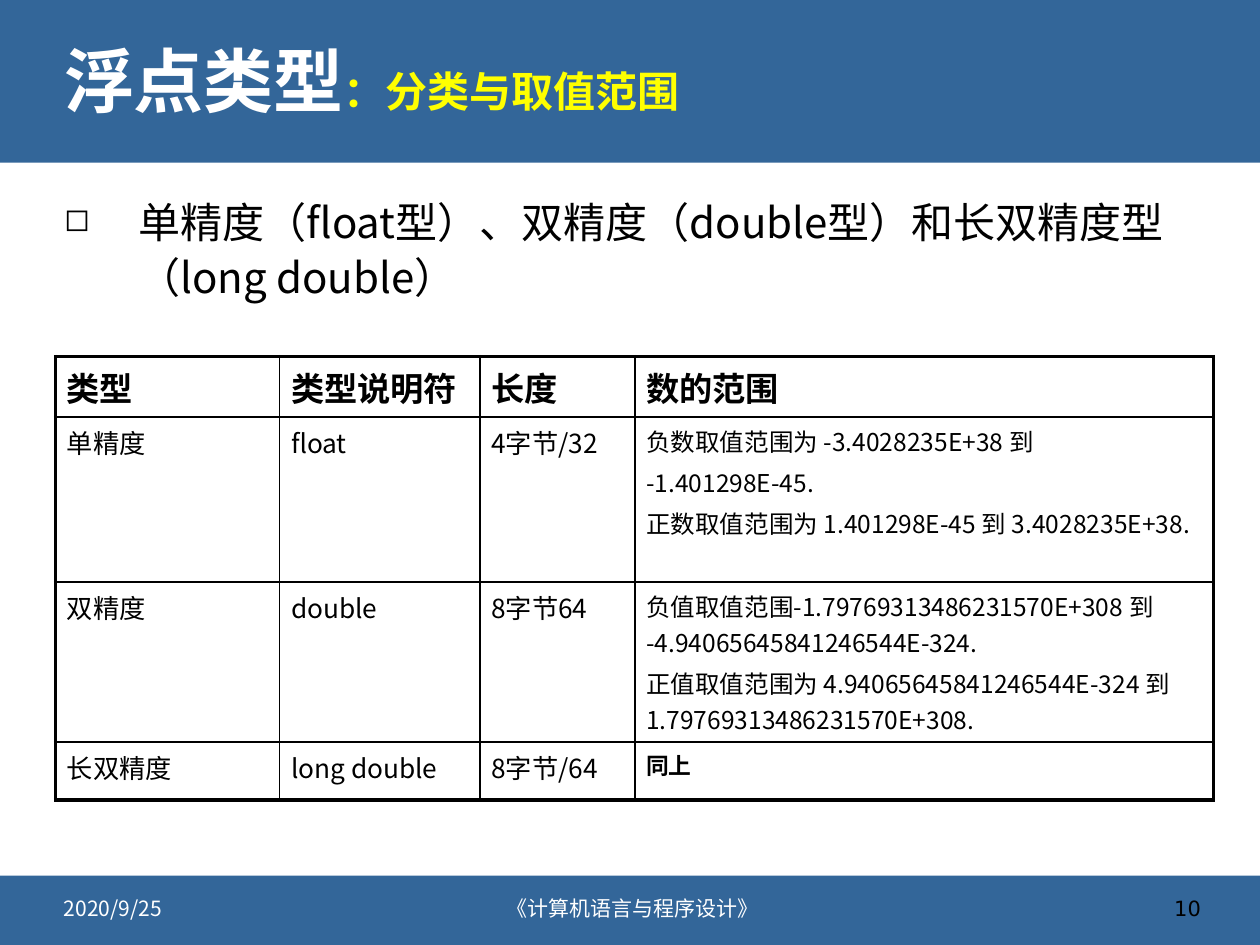
from dataclasses import dataclass

import pptx
import pptx.util
import pptx.dml.color
import pptx.enum.shapes
import pptx.enum.text
from lxml import etree
from pptx.oxml.ns import qn

Inches, Pt = pptx.util.Inches, pptx.util.Pt
ALIGN = pptx.enum.text.PP_ALIGN
ANCHOR = pptx.enum.text.MSO_ANCHOR


@dataclass(frozen=True)
class Theme:
    band: str = "336699"
    white: str = "FFFFFF"
    black: str = "000000"
    accent: str = "FFFF00"
    font: str = "Noto Sans CJK SC"
    number_font: str = "DejaVu Sans"
    title: int = 40
    body: int = 24
    header: int = 19
    label: int = 15
    value: int = 14
    note: int = 13
    footer: int = 12
    outer_line: float = 2.25
    inner_line: float = 1


T = Theme()

COLUMNS = [1.78, 1.59, 1.23, 4.59]
ROWS = [0.48, 1.31, 1.27, 0.46]
CELLS = [
    ["类型", "类型说明符", "长度", "数的范围"],
    ["单精度", "float", "4字节/32",
     "负数取值范围为 -3.4028235E+38 到\n-1.401298E-45.\n"
     "正数取值范围为 1.401298E-45 到 3.4028235E+38."],
    ["双精度", "double", "8字节64",
     "负值取值范围-1.79769313486231570E+308 到 -4.94065645841246544E-324.\n"
     "正值取值范围为 4.94065645841246544E-324 到 1.79769313486231570E+308."],
    ["长双精度", "long double", "8字节/64", "同上"],
]


def rgb(color):
    return pptx.dml.color.RGBColor.from_string(color)


def add_run(p, text, size, color, bold=False, font=T.font):
    r = p.add_run()
    r.text = text
    r.font.size, r.font.bold, r.font.name = Pt(size), bold, font
    r.font.color.rgb = rgb(color)
    ea = etree.Element(qn("a:ea"), typeface=font)
    r.font._element.find(qn("a:latin")).addnext(ea)


def add_text(s, box, anchor=ANCHOR.MIDDLE):
    """Add an empty wrapping text box and return its first paragraph."""
    tf = s.shapes.add_textbox(*map(Inches, box)).text_frame
    tf.word_wrap = True
    tf.vertical_anchor = anchor
    return tf.paragraphs[0]


def add_band(s, box):
    sp = s.shapes.add_shape(pptx.enum.shapes.MSO_SHAPE.RECTANGLE, *map(Inches, box))
    sp.shadow.inherit = False
    sp.fill.solid()
    sp.fill.fore_color.rgb = rgb(T.band)
    sp.line.fill.background()


def add_title(s, box):
    p = add_text(s, box)
    p.line_spacing = 0.9
    add_run(p, "浮点类型", T.title, T.white, True)
    add_run(p, "：分类与取值范围", T.body, T.accent, True)


def add_body(s, box):
    p = add_text(s, box, ANCHOR.TOP)
    p.line_spacing = 1.1
    pPr = p._p.get_or_add_pPr()
    indent = Inches(0.59)
    pPr.set("marL", str(indent))
    pPr.set("indent", str(-indent))
    clr = etree.SubElement(pPr, qn("a:buClr"))
    etree.SubElement(clr, qn("a:srgbClr"), val=T.black)
    etree.SubElement(pPr, qn("a:buSzPct"), val="75000")
    etree.SubElement(pPr, qn("a:buChar"), char="◻")
    add_run(p, "单精度（float型）、双精度（double型）和长双精度型（long double）",
            T.body, T.black)


def set_borders(cell, outer):
    """Draw all four sides, thicker on the sides named in outer."""
    tcPr = cell._tc.get_or_add_tcPr()
    for side in "LRTB":
        width = T.outer_line if side in outer else T.inner_line
        ln = etree.SubElement(tcPr, qn("a:ln" + side), w=str(Pt(width)))
        fill = etree.SubElement(ln, qn("a:solidFill"))
        etree.SubElement(fill, qn("a:srgbClr"), val=T.black)


def cell_style(row, col):
    """Return the size and weight of the text in a cell."""
    if row == 0:
        return T.header, True
    if col < len(COLUMNS) - 1:
        return T.label, False
    return (T.note, True) if row == len(ROWS) - 1 else (T.value, False)


def fill_cell(cell, row, col):
    outer = {"L": col == 0, "R": col == len(COLUMNS) - 1,
             "T": row == 0, "B": row == len(ROWS) - 1}
    set_borders(cell, [side for side, edge in outer.items() if edge])
    cell.fill.background()
    cell.margin_left = cell.margin_right = Inches(0.09)
    cell.margin_top = cell.margin_bottom = Inches(0.05)
    size, bold = cell_style(row, col)
    tf = cell.text_frame
    for i, line in enumerate(CELLS[row][col].split("\n")):
        p = tf.add_paragraph() if i else tf.paragraphs[0]
        if i:
            p.space_before = Pt(0.2 * size)
        add_run(p, line, size, T.black, bold)


def add_range_table(s, box):
    table = s.shapes.add_table(len(ROWS), len(COLUMNS), *map(Inches, box)).table
    table.first_row = table.horz_banding = False
    for column, width in zip(table.columns, COLUMNS):
        column.width = Inches(width)
    for row, height in zip(table.rows, ROWS):
        row.height = Inches(height)
    for row in range(len(ROWS)):
        for col in range(len(COLUMNS)):
            fill_cell(table.cell(row, col), row, col)


def add_footer(s, box):
    """Place date, course name and page number across the box."""
    left, top, width, height = box
    side, middle = 2.4, 3.6
    parts = [
        (left, side, ALIGN.LEFT, "2020/9/25", T.white, T.font),
        (left + (width - middle) / 2, middle, ALIGN.CENTER,
         "《计算机语言与程序设计》", T.white, T.font),
        (left + width - side, side, ALIGN.RIGHT, "10", T.black, T.number_font),
    ]
    for x, w, align, text, color, font in parts:
        p = add_text(s, (x, top, w, height))
        p.alignment = align
        add_run(p, text, T.footer, color, font=font)


def main():
    prs = pptx.Presentation()
    prs.slide_width, prs.slide_height = Inches(10), Inches(7.5)
    s = prs.slides.add_slide(prs.slide_layouts[6])
    add_band(s, (0, 0, 10, 1.29))
    add_band(s, (0, 6.95, 10, 0.55))
    add_title(s, (0.41, 0.18, 9.19, 0.99))
    add_body(s, (0.41, 1.47, 9.19, 5.28))
    add_range_table(s, (0.44, 2.83, sum(COLUMNS), sum(ROWS)))
    add_footer(s, (0.41, 7.01, 9.22, 0.4))
    prs.save("out.pptx")


if __name__ == "__main__":
    main()
